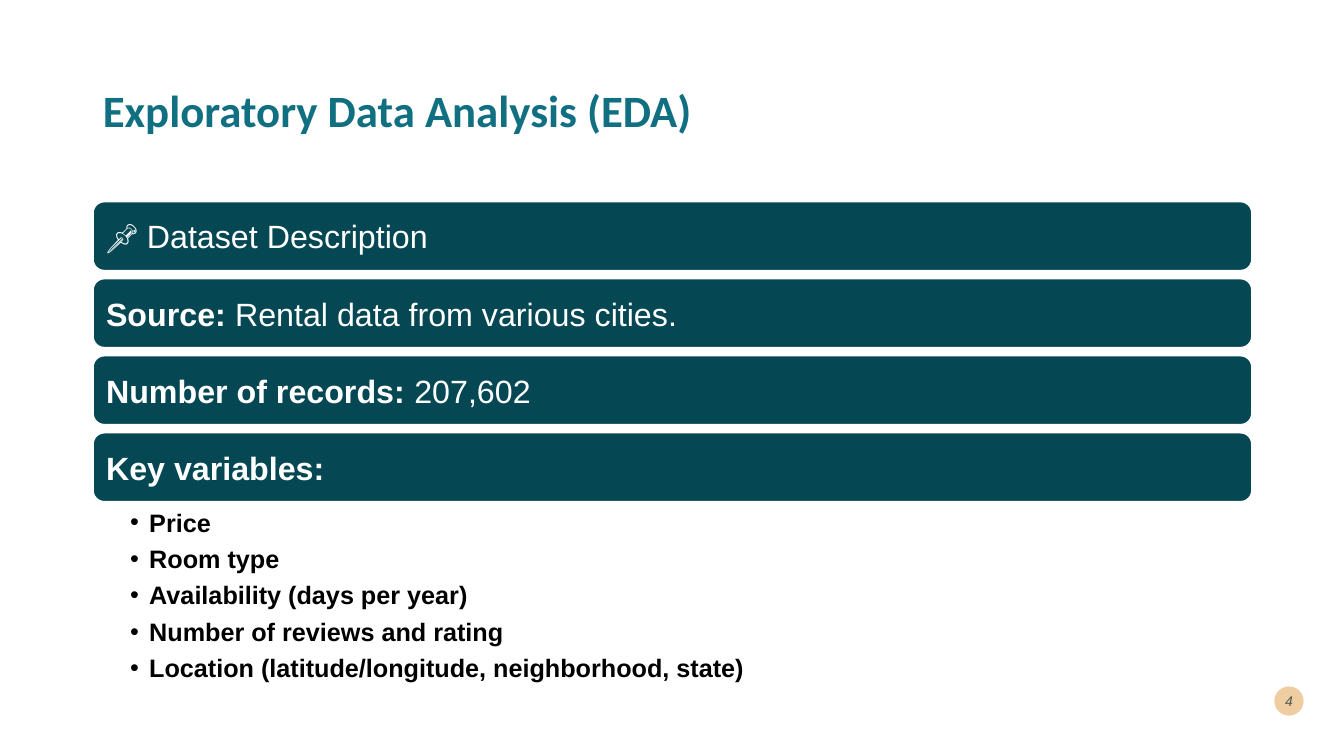
from dataclasses import dataclass

import lxml.etree
import pptx
import pptx.dml.color
import pptx.enum.shapes
import pptx.enum.text
import pptx.oxml.ns
import pptx.util

SLIDE_WIDTH = pptx.util.Inches(13.33)
SLIDE_HEIGHT = pptx.util.Inches(7.5)
COLUMN = SLIDE_WIDTH / 100
ROW = SLIDE_HEIGHT / 100

LEFT, WIDTH = 6.9, 86.27
BAR_TOP, BAR_HEIGHT, BAR_PITCH = 26.63, 9.2, 10.19

TEAL, DARK_TEAL, INK = "107082", "054854", "00292E"
SAND, WHITE, BLACK = "F0CDA1", "FFFFFF", "000000"


@dataclass(frozen=True)
class Area:
    """Columns and rows of the hundred by hundred slide grid."""
    left: float
    top: float
    width: float
    height: float

    def lengths(self) -> tuple[int, int, int, int]:
        return (round(self.left * COLUMN), round(self.top * ROW),
                round(self.width * COLUMN), round(self.height * ROW))


@dataclass(frozen=True)
class Bar:
    label: str = ""
    value: str = ""


BARS = [
    Bar(value="📌 Dataset Description"),
    Bar("Source:", " Rental data from various cities."),
    Bar("Number of records:", " 207,602"),
    Bar("Key variables:"),
]
KEY_VARIABLES = [
    "Price",
    "Room type",
    "Availability (days per year)",
    "Number of reviews and rating",
    "Location (latitude/longitude, neighborhood, state)",
]


def colour(value: str) -> pptx.dml.color.RGBColor:
    return pptx.dml.color.RGBColor.from_string(value)


def place(shape, area: Area) -> None:
    shape.left, shape.top, shape.width, shape.height = area.lengths()


def set_frame(frame, anchor, left=0.1, top=0.05, right=0.1, bottom=0.05) -> None:
    """Wrap and anchor a text frame, with margins in inches."""
    frame.word_wrap = True
    frame.auto_size = pptx.enum.text.MSO_AUTO_SIZE.NONE
    frame.vertical_anchor = anchor
    frame.margin_left = pptx.util.Inches(left)
    frame.margin_top = pptx.util.Inches(top)
    frame.margin_right = pptx.util.Inches(right)
    frame.margin_bottom = pptx.util.Inches(bottom)


def add_run(paragraph, text: str, size: float, hex_colour: str,
            bold: bool = False, italic: bool = False, name: str = "Arial"):
    run = paragraph.add_run()
    run.text = text
    run.font.name = name
    run.font.size = pptx.util.Pt(size)
    run.font.bold = bold
    run.font.italic = italic
    run.font.color.rgb = colour(hex_colour)
    return run


def add_filled_shape(slide, kind, area: Area, fill: str):
    shape = slide.shapes.add_shape(kind, *area.lengths())
    shape.shadow.inherit = False
    shape.fill.solid()
    shape.fill.fore_color.rgb = colour(fill)
    shape.line.fill.background()
    return shape


def write_title(title) -> None:
    place(title, Area(LEFT, 5.33, WIDTH, 19.33))
    set_frame(title.text_frame, pptx.enum.text.MSO_ANCHOR.MIDDLE)
    paragraph = title.text_frame.paragraphs[0]
    paragraph.alignment = pptx.enum.text.PP_ALIGN.LEFT
    paragraph.line_spacing = 0.9
    add_run(paragraph, "Exploratory Data Analysis (EDA)", 32, TEAL,
            bold=True, name="Calibri")


def add_bar(slide, bar: Bar, index: int) -> None:
    area = Area(LEFT, BAR_TOP + index * BAR_PITCH, WIDTH, BAR_HEIGHT)
    shape = add_filled_shape(
        slide, pptx.enum.shapes.MSO_SHAPE.ROUNDED_RECTANGLE, area, DARK_TEAL)
    shape.line.color.rgb = colour(WHITE)
    shape.line.width = pptx.util.Pt(1.5)
    set_frame(shape.text_frame, pptx.enum.text.MSO_ANCHOR.MIDDLE)
    paragraph = shape.text_frame.paragraphs[0]
    paragraph.alignment = pptx.enum.text.PP_ALIGN.LEFT
    if bar.label:
        add_run(paragraph, bar.label, 23, WHITE, bold=True)
    if bar.value:
        add_run(paragraph, bar.value, 23, WHITE)


def add_bullet(paragraph) -> None:
    properties = paragraph._p.get_or_add_pPr()
    indent = pptx.util.Inches(0.19)
    properties.set("marL", str(indent))
    properties.set("indent", str(-indent))
    bullet = lxml.etree.SubElement(properties, pptx.oxml.ns.qn("a:buChar"))
    bullet.set("char", "•")


def write_key_variables(body) -> None:
    place(body, Area(LEFT, 66.4, WIDTH, 23.6))
    frame = body.text_frame
    set_frame(frame, pptx.enum.text.MSO_ANCHOR.TOP, 0.37, 0.05, 0.18, 0.03)
    for index, variable in enumerate(KEY_VARIABLES):
        paragraph = frame.add_paragraph() if index else frame.paragraphs[0]
        add_bullet(paragraph)
        paragraph.alignment = pptx.enum.text.PP_ALIGN.LEFT
        paragraph.space_before = pptx.util.Pt(0)
        paragraph.space_after = pptx.util.Pt(4.4)
        add_run(paragraph, variable, 18, BLACK, bold=True)


def add_page_number(slide) -> None:
    add_filled_shape(slide, pptx.enum.shapes.MSO_SHAPE.OVAL,
                     Area(94.82, 90.8, 2.18, 3.87), SAND)
    box = slide.shapes.add_textbox(*Area(94, 90, 2.93, 5.33).lengths())
    set_frame(box.text_frame, pptx.enum.text.MSO_ANCHOR.MIDDLE)
    paragraph = box.text_frame.paragraphs[0]
    paragraph.alignment = pptx.enum.text.PP_ALIGN.RIGHT
    run = add_run(paragraph, "4", 10, INK, italic=True)
    ink = run._r.find(".//" + pptx.oxml.ns.qn("a:srgbClr"))
    lxml.etree.SubElement(ink, pptx.oxml.ns.qn("a:alpha")).set("val", "70000")


def main() -> None:
    presentation = pptx.Presentation()
    presentation.slide_width = SLIDE_WIDTH
    presentation.slide_height = SLIDE_HEIGHT
    slide = presentation.slides.add_slide(presentation.slide_layouts[1])
    write_title(slide.shapes.title)
    for index, bar in enumerate(BARS):
        add_bar(slide, bar, index)
    write_key_variables(slide.placeholders[1])
    add_page_number(slide)
    presentation.save("out.pptx")


if __name__ == "__main__":
    main()
